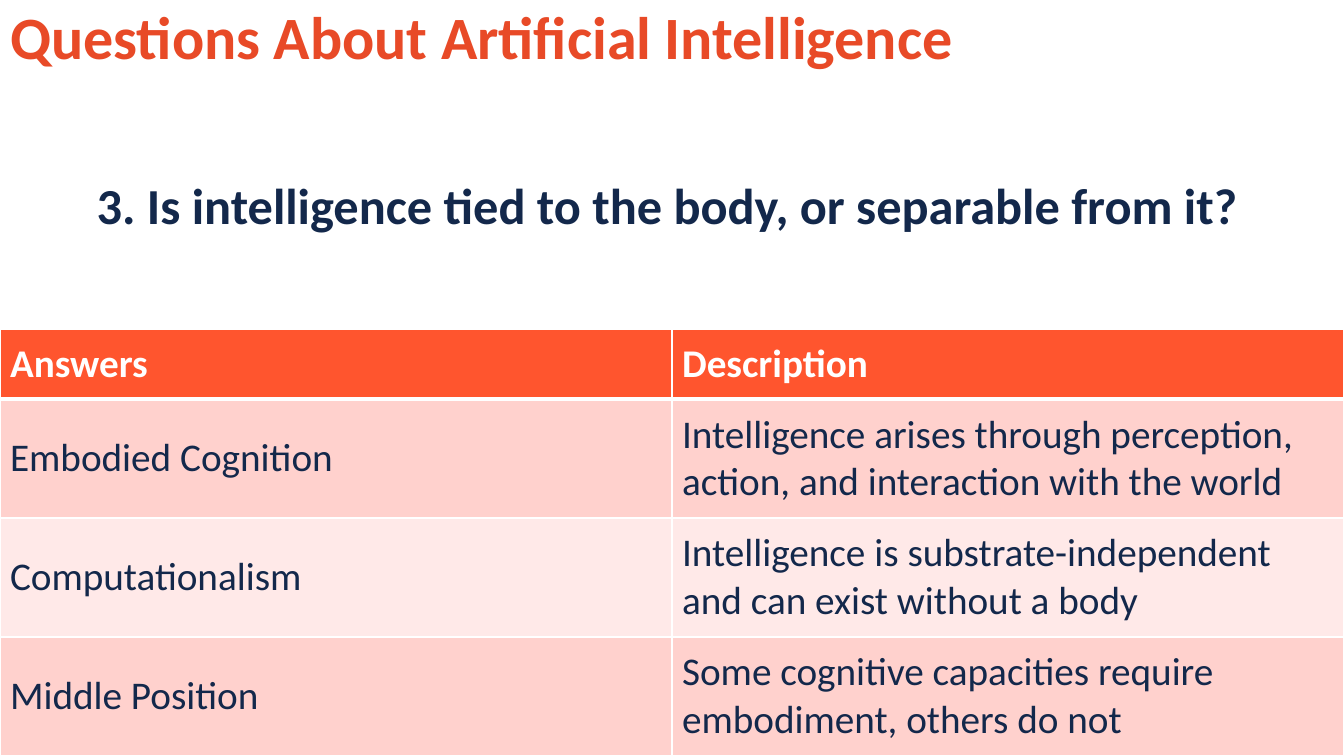
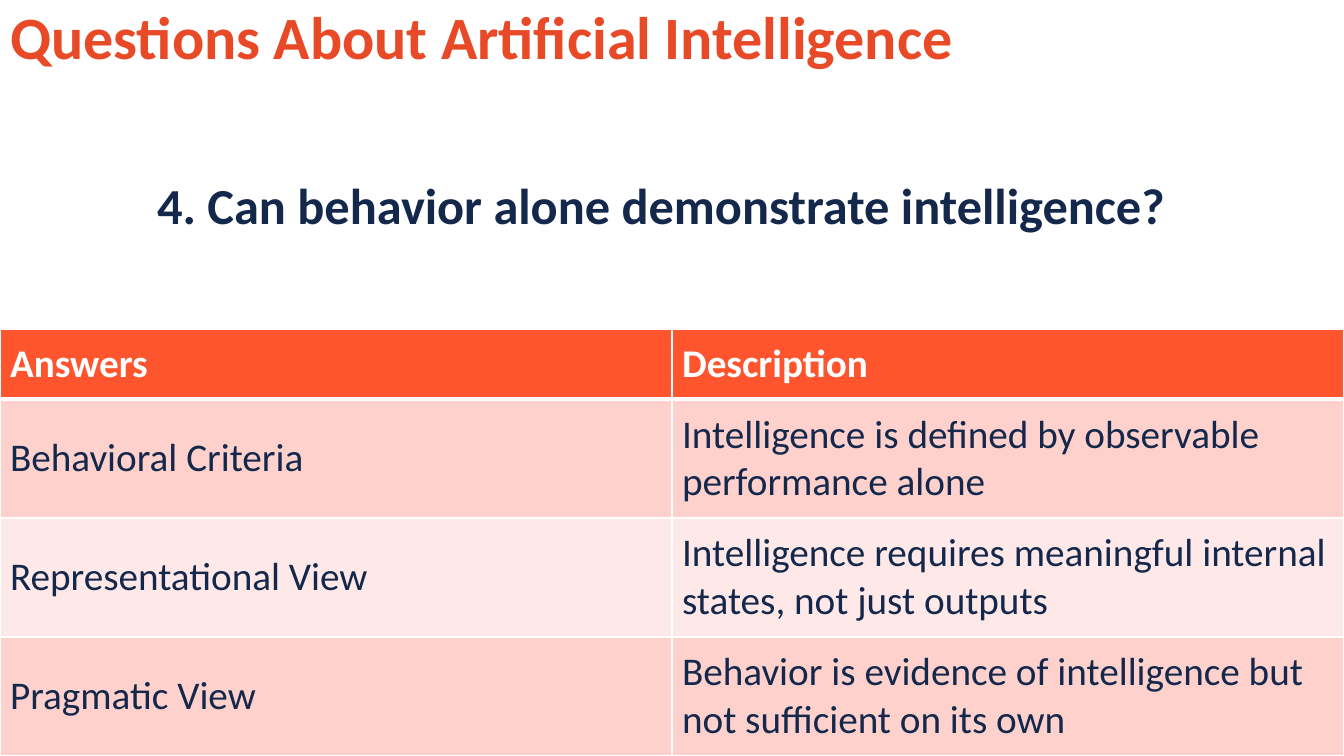
from lxml import etree
from pptx import Presentation
from pptx.dml.color import RGBColor
from pptx.enum.text import MSO_ANCHOR, MSO_AUTO_SIZE, PP_ALIGN
from pptx.oxml.ns import qn
from pptx.util import Inches, Pt

MIDDLE, TOP = MSO_ANCHOR.MIDDLE, MSO_ANCHOR.TOP
LEFT = PP_ALIGN.LEFT
NO_FIT = MSO_AUTO_SIZE.NONE
TITLE_ONLY = 5

W, H = 13.33, 7.5
FONT = "Calibri"
COLORS = {
    "title": "E84A27",
    "text": "13284B",
    "header": "FF552E",
    "band_dark": "FFD1CD",
    "band_light": "FFE9E8",
    "white": "FFFFFF",
}

# Table grid: header row, then equal rows down to the slide's lower edge
TABLE_TOP = 3.27
HEADER_H = 0.69
HEADERS = ("Answers", "Description")

TITLE = "Questions About Artificial Intelligence"
# Question, width of its centred box, answers with descriptions
SLIDES = [
    ("3. Is intelligence tied to the body, or separable from it?", 11.61, [
        ("Embodied Cognition",
         "Intelligence arises through perception, action, and interaction with the world"),
        ("Computationalism",
         "Intelligence is substrate-independent and can exist without a body"),
        ("Middle Position",
         "Some cognitive capacities require embodiment, others do not"),
    ]),
    ("4. Can behavior alone demonstrate intelligence?", 10.41, [
        ("Behavioral Criteria",
         "Intelligence is defined by observable performance alone"),
        ("Representational View",
         "Intelligence requires meaningful internal states, not just outputs"),
        ("Pragmatic View",
         "Behavior is evidence of intelligence but not sufficient on its own"),
    ]),
]


def rgb(name):
    return RGBColor.from_string(COLORS[name])


def add_text(tf, text, size, color, bold=False):
    """Write one left-aligned run into the first paragraph."""
    p = tf.paragraphs[0]
    p.alignment = LEFT
    r = p.add_run()
    r.text = text
    r.font.name = FONT
    r.font.size = Pt(size)
    r.font.bold = bold
    r.font.color.rgb = rgb(color)
    return p


def set_title(s, text):
    title = s.shapes.title
    title.left, title.top = Inches(0), Inches(0)
    title.width, title.height = Inches(12.56), Inches(0.8)
    tf = title.text_frame
    tf.word_wrap = True
    tf.auto_size = NO_FIT
    tf.vertical_anchor = MIDDLE
    add_text(tf, text, 42.9, "title", bold=True).line_spacing = 0.9


def add_question(s, text, width):
    box = s.shapes.add_textbox(Inches((W - width) / 2), Inches(1.68),
                               Inches(width), Inches(0.71))
    tf = box.text_frame
    tf.word_wrap = True
    tf.vertical_anchor = TOP
    add_text(tf, text, 36, "text", bold=True)


def set_borders(cell, top, bottom):
    """White cell borders; top and bottom widths in points."""
    tcPr = cell._tc.get_or_add_tcPr()
    for side, width in (("L", 1), ("R", 1), ("T", top), ("B", bottom)):
        ln = etree.SubElement(tcPr, qn(f"a:ln{side}"), w=str(Pt(width)))
        fill = etree.SubElement(ln, qn("a:solidFill"))
        etree.SubElement(fill, qn("a:srgbClr"), val=COLORS["white"])


def add_answers(s, answers):
    rows = [HEADERS, *answers]
    table = s.shapes.add_table(len(rows), len(HEADERS), Inches(0), Inches(TABLE_TOP),
                               Inches(W), Inches(H - TABLE_TOP)).table
    for col in table.columns:
        col.width = Inches(W / len(HEADERS))
    row_h = (H - TABLE_TOP - HEADER_H) / len(answers)
    for i, texts in enumerate(rows):
        is_header = i == 0
        table.rows[i].height = Inches(HEADER_H if is_header else row_h)
        band = "header" if is_header else ("band_light", "band_dark")[i % 2]
        for j, text in enumerate(texts):
            cell = table.cell(i, j)
            set_borders(cell, top=3 if i == 1 else 1, bottom=3 if is_header else 1)
            cell.fill.solid()
            cell.fill.fore_color.rgb = rgb(band)
            cell.vertical_anchor = MIDDLE
            add_text(cell.text_frame, text, 28, "white" if is_header else "text", is_header)


def main():
    prs = Presentation()
    prs.slide_width, prs.slide_height = Inches(W), Inches(H)
    for question, width, answers in SLIDES:
        s = prs.slides.add_slide(prs.slide_layouts[TITLE_ONLY])
        set_title(s, TITLE)
        add_answers(s, answers)
        add_question(s, question, width)
    prs.save("out.pptx")


if __name__ == "__main__":
    main()
